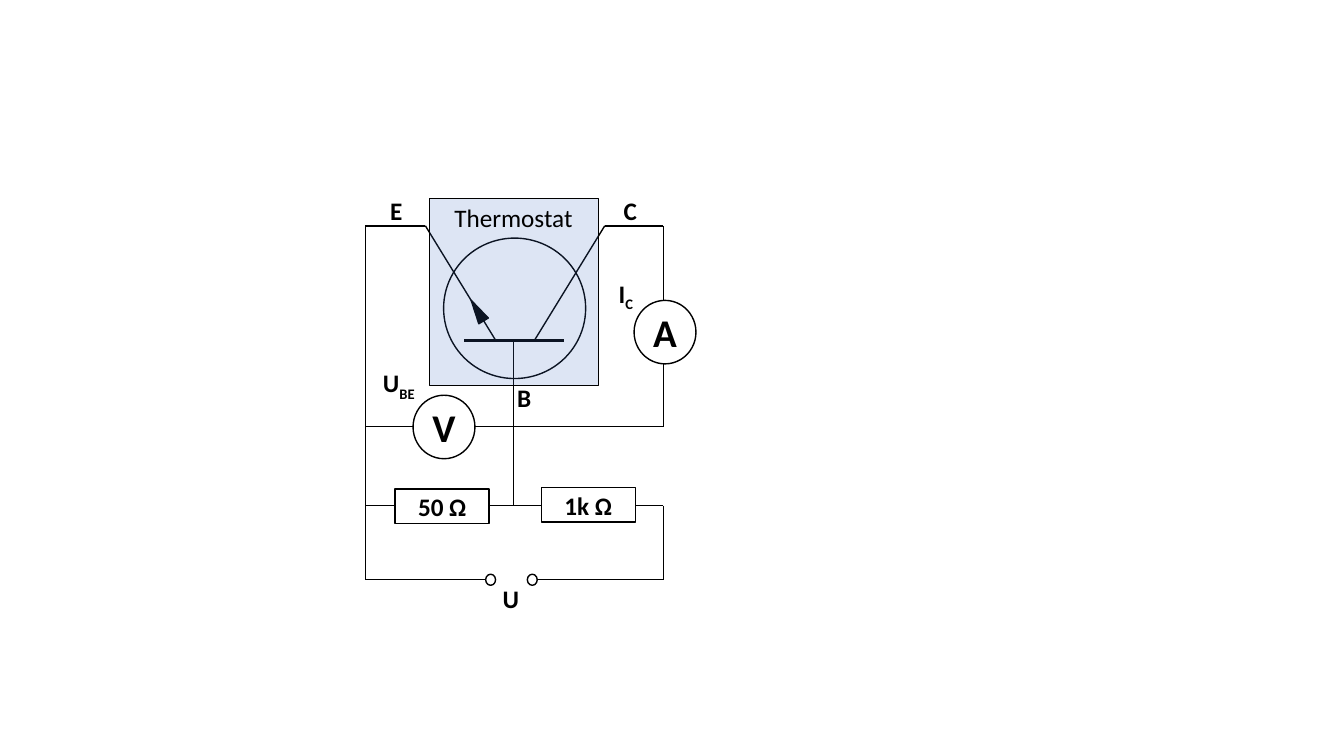
from lxml import etree
from pptx import Presentation
from pptx.dml.color import RGBColor
from pptx.enum.shapes import MSO_CONNECTOR, MSO_SHAPE
from pptx.enum.text import MSO_ANCHOR, MSO_AUTO_SIZE, PP_ALIGN
from pptx.oxml.ns import qn
from pptx.util import Cm, Pt

STRAIGHT = MSO_CONNECTOR.STRAIGHT
OVAL, RECT, TRIANGLE = MSO_SHAPE.OVAL, MSO_SHAPE.RECTANGLE, MSO_SHAPE.ISOSCELES_TRIANGLE
MIDDLE = MSO_ANCHOR.MIDDLE
CENTER, LEFT = PP_ALIGN.CENTER, PP_ALIGN.LEFT
FIT_SHAPE = MSO_AUTO_SIZE.SHAPE_TO_FIT_TEXT

BLACK, WHITE, BLUE = "000000", "FFFFFF", "4472C4"
FONT = "Calibri"

LEFT_X, BASE_X, RIGHT_X = 9.21, 12.94, 16.72
TOP_Y, BAR_Y, METER_Y, RESISTOR_Y, SUPPLY_Y = 5.69, 8.59, 10.75, 12.74, 14.61
EMITTER_X, COLLECTOR_X = 10.72, 15.24
TERMINAL_LEFT_X, TERMINAL_RIGHT_X = 12.24, 13.54


def rgb(color):
    return RGBColor.from_string(color)


def write(tf, text, subscript="", size=18, bold=True, align=LEFT):
    p = tf.paragraphs[0]
    p.alignment = align
    for part in filter(None, (text, subscript)):
        r = p.add_run()
        r.text = part
        r.font.name, r.font.size, r.font.bold = FONT, Pt(size), bold
        r.font.color.rgb = rgb(BLACK)
    if subscript:
        r.font._element.set("baseline", "-25000")


def shape(s, kind, x, y, w, h, fill=WHITE, alpha=None, rotation=0):
    sp = s.shapes.add_shape(kind, Cm(x), Cm(y), Cm(w), Cm(h))
    sp.shadow.inherit = False
    sp.rotation = rotation
    sp.line.color.rgb = rgb(BLACK)
    sp.line.width = Pt(1)
    if fill is None:
        sp.fill.background()
        return sp
    sp.fill.solid()
    sp.fill.fore_color.rgb = rgb(fill)
    if alpha is not None:
        color = sp._element.spPr.find(qn("a:solidFill"))[0]
        etree.SubElement(color, qn("a:alpha")).set("val", str(alpha * 1000))
    return sp


def component(s, kind, x, y, w, h, text, size):
    tf = shape(s, kind, x, y, w, h).text_frame
    tf.margin_left = tf.margin_right = tf.margin_top = tf.margin_bottom = 0
    tf.vertical_anchor = MIDDLE
    tf.word_wrap = False
    write(tf, text, size=size, align=CENTER)


def meter(s, x, y, text):
    component(s, OVAL, x, y, 1.56, 1.6, text, 28)


def resistor(s, x, y, text):
    component(s, RECT, x, y, 2.37, 0.87, text, 18)


def label(s, x, y, w, text, **style):
    tf = s.shapes.add_textbox(Cm(x), Cm(y), Cm(w), Cm(1.03)).text_frame
    tf.word_wrap = True
    tf.auto_size = FIT_SHAPE
    write(tf, text, **style)


def wire(s, x1, y1, x2, y2, width=1):
    line = s.shapes.add_connector(STRAIGHT, Cm(x1), Cm(y1), Cm(x2), Cm(y2))
    line.line.color.rgb = rgb(BLACK)
    line.line.width = Pt(width)
    etree.SubElement(line._element.spPr, qn("a:effectLst"))


def transistor(s):
    shape(s, OVAL, 11.18, 6, 3.58, 3.54, fill=None)
    wire(s, 11.7, BAR_Y, 14.22, BAR_Y, width=2)
    wire(s, BASE_X, BAR_Y, BASE_X, RESISTOR_Y)
    wire(s, 12.5, BAR_Y, EMITTER_X, TOP_Y)
    wire(s, 13.46, BAR_Y, COLLECTOR_X, TOP_Y)
    shape(s, TRIANGLE, 11.89, 7.52, 0.28, 0.61, fill=BLACK, rotation=329)


def circuit_wires(s):
    for ends in (
        (EMITTER_X, TOP_Y, LEFT_X, TOP_Y),
        (COLLECTOR_X, TOP_Y, RIGHT_X, TOP_Y),
        (LEFT_X, TOP_Y, LEFT_X, SUPPLY_Y),
        (RIGHT_X, TOP_Y, RIGHT_X, METER_Y),
        (LEFT_X, METER_Y, BASE_X, METER_Y),
        (BASE_X, METER_Y, RIGHT_X, METER_Y),
        (LEFT_X, RESISTOR_Y, BASE_X, RESISTOR_Y),
        (BASE_X, RESISTOR_Y, RIGHT_X, RESISTOR_Y),
        (RIGHT_X, RESISTOR_Y, RIGHT_X, SUPPLY_Y),
        (LEFT_X, SUPPLY_Y, TERMINAL_LEFT_X, SUPPLY_Y),
        (TERMINAL_RIGHT_X, SUPPLY_Y, RIGHT_X, SUPPLY_Y),
    ):
        wire(s, *ends)


def main():
    prs = Presentation()
    prs.slide_width, prs.slide_height = Cm(33.87), Cm(19.05)
    s = prs.slides.add_slide(prs.slide_layouts[6])

    transistor(s)
    circuit_wires(s)
    meter(s, 15.98, 7.57, "A")
    meter(s, 10.41, 9.96, "V")
    resistor(s, 9.96, 12.32, "50 Ω")
    resistor(s, 13.64, 12.29, "1k Ω")
    for x in (TERMINAL_LEFT_X, TERMINAL_RIGHT_X - 0.25):
        shape(s, OVAL, x, SUPPLY_Y - 0.14, 0.25, 0.28)

    label(s, 15.47, 4.8, 0.76, "C")
    label(s, 12.78, 9.5, 0.76, "B")
    label(s, 9.58, 4.8, 0.76, "E")
    label(s, 12.42, 14.58, 1.07, "U")
    label(s, 9.4, 9.14, 1.83, "U", subscript="BE")
    label(s, 15.34, 6.88, 1.83, "I", subscript="C")

    shape(s, RECT, 10.82, 5, 4.27, 4.72, fill=BLUE, alpha=18)
    label(s, 11.2, 4.98, 3.55, "Thermostat", bold=False)

    prs.save("out.pptx")


if __name__ == "__main__":
    main()
